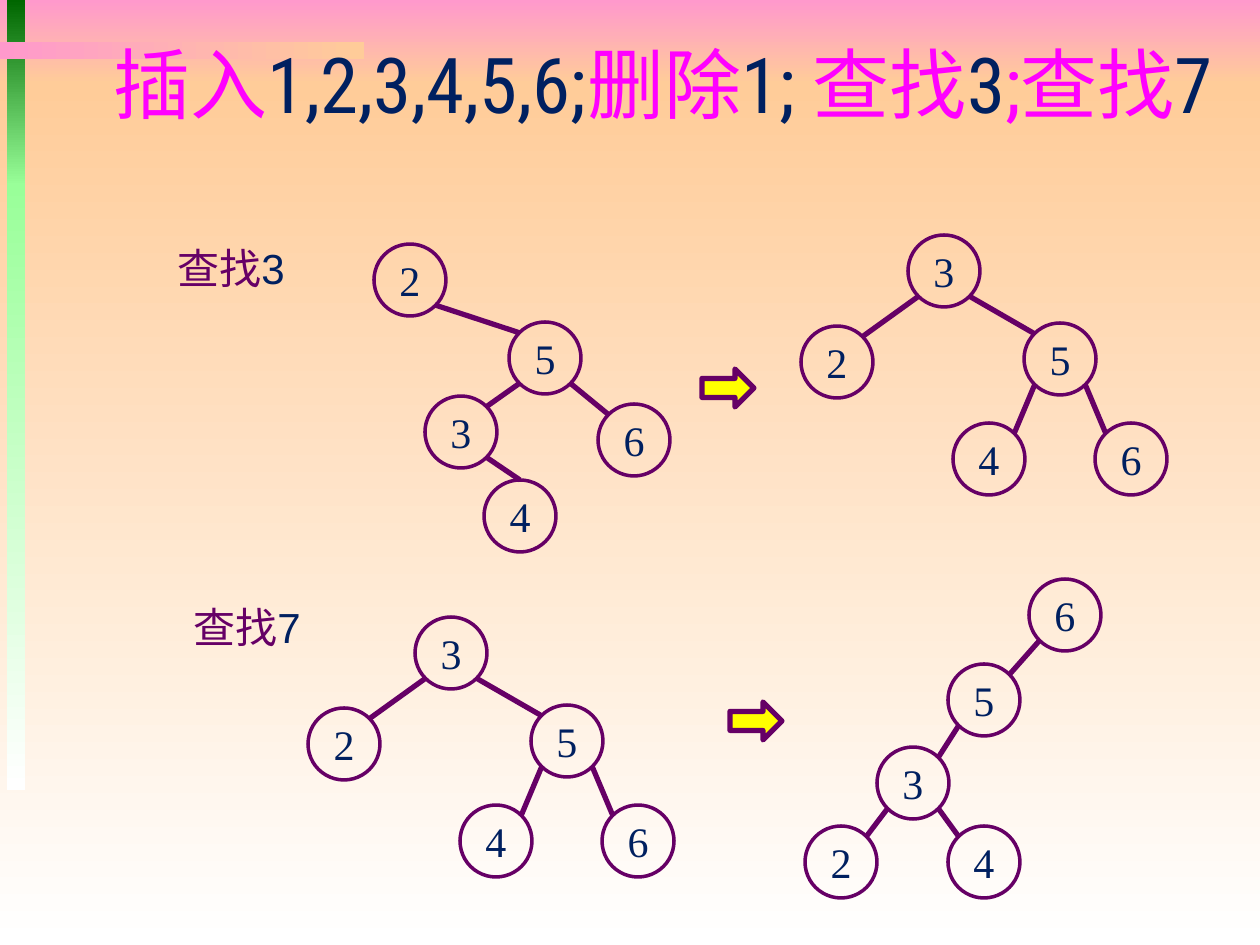
"""Builds a slide that shows splay tree lookups before and after splaying."""
from lxml import etree
from pptx import Presentation
from pptx.dml.color import RGBColor
from pptx.enum.shapes import MSO_CONNECTOR, MSO_SHAPE
from pptx.enum.text import MSO_ANCHOR, MSO_AUTO_SIZE, PP_ALIGN
from pptx.oxml.ns import qn
from pptx.util import Pt

RECTANGLE, OVAL, ARROW = MSO_SHAPE.RECTANGLE, MSO_SHAPE.OVAL, MSO_SHAPE.RIGHT_ARROW
STRAIGHT = MSO_CONNECTOR.STRAIGHT
LEFT, CENTER, MIDDLE = PP_ALIGN.LEFT, PP_ALIGN.CENTER, MSO_ANCHOR.MIDDLE
COLORS = {
    "plum": "660066", "navy": "002060", "magenta": "FF00FF", "yellow": "FFFF00",
    "pink": "FF99CC", "peach": "FFCC99", "white": "FFFFFF",
    "green": "006600", "mint": "99FF99",
}
RGB = {name: RGBColor.from_string(value) for name, value in COLORS.items()}
SCALE = 914400 / 126
RADIUS, CORNER = 36, 25


def px(*lengths):
    return [round(length * SCALE) for length in lengths]


def add_spans(para, spans, font, size):
    for text, color in spans:
        span = para.add_run()
        span.text = text
        span.font.name = font
        span.font.size = Pt(size)
        span.font.color.rgb = RGB[color]


deck = Presentation()
deck.slide_width, deck.slide_height = px(1260, 945)
page = deck.slides.add_slide(deck.slide_layouts[5])

bands = [
    ((0, 0, 1260, 84), "pink", "peach", 270),
    ((0, 84, 1260, 861), "peach", "white", 270),
    ((7, 0, 18, 186), "green", "mint", 270),
    ((7, 184, 18, 606), "mint", "white", 270),
    ((0, 42, 364, 17), "pink", "peach", 0),
]
for place, first, last, angle in bands:
    band = page.shapes.add_shape(RECTANGLE, *px(*place))
    band.shadow.inherit = False
    band.line.fill.background()
    band.fill.gradient()
    band.fill.gradient_angle = angle
    for stop, color in zip(band.fill.gradient_stops, (first, last)):
        stop.color.rgb = RGB[color]

balanced = [("3", 0, 0, None), ("2", -107, 91, 0), ("5", 116, 88, 0),
            ("6", 187, 188, 2), ("4", 45, 188, 2)]
trees = [
    ((410, 280), [("2", 0, 0, None), ("5", 135, 78, 0), ("6", 224, 160, 1),
                  ("3", 51, 152, 1), ("4", 110, 236, 3)]),
    ((944, 271), balanced),
    ((451, 653), balanced),
    ((1065, 615), [("6", 0, 0, None), ("5", -81, 85, 0), ("3", -152, 168, 1),
                   ("2", -224, 247, 2), ("4", -81, 247, 2)]),
]
for (root_x, root_y), nodes in trees:
    tree = page.shapes.add_group_shape()
    for label, x, y, parent in nodes:
        left, top = root_x + x - RADIUS, root_y + y - RADIUS
        node = tree.shapes.add_shape(OVAL, *px(left, top, 2 * RADIUS, 2 * RADIUS))
        node.shadow.inherit = False
        node.fill.background()
        node.line.color.rgb = RGB["plum"]
        node.line.width = Pt(2)
        node.text_frame.word_wrap = False
        node.text_frame.vertical_anchor = MIDDLE
        para = node.text_frame.paragraphs[0]
        para.alignment = CENTER
        add_spans(para, [(label, "navy")], "Times New Roman", 24)
    for label, x, y, parent in nodes:
        if parent is None:
            continue
        parent_x, parent_y = nodes[parent][1:3]
        side = 1 if x > parent_x else -1
        across, up = (CORNER, CORNER) if abs(x - parent_x) > 60 else (0, RADIUS)
        edge = tree.shapes.add_connector(STRAIGHT, *px(
            root_x + parent_x + side * CORNER, root_y + parent_y + CORNER,
            root_x + x - side * across, root_y + y - up))
        edge.line.color.rgb = RGB["plum"]
        edge.line.width = Pt(3)
        etree.SubElement(edge._element.spPr, qn("a:effectLst"))

for place, number in [((165, 236, 170, 63), "3"), ((181, 595, 204, 63), "7")]:
    box = page.shapes.add_textbox(*px(*place))
    box.text_frame.word_wrap = True
    add_spans(box.text_frame.paragraphs[0],
              [("查找", "plum"), (number, "navy")], "Arial", 24)

for left, top in [(702, 369), (730, 702)]:
    arrow = page.shapes.add_shape(ARROW, *px(left, top, 52, 38))
    arrow.shadow.inherit = False
    arrow.fill.solid()
    arrow.fill.fore_color.rgb = RGB["yellow"]
    arrow.line.color.rgb = RGB["plum"]
    arrow.line.width = Pt(3)

title = page.shapes.title
title.left, title.top, title.width, title.height = px(101, 72, 1136, 113)
frame = title.text_frame
frame.word_wrap = True
frame.auto_size = MSO_AUTO_SIZE.NONE
frame.vertical_anchor = MIDDLE
frame.margin_bottom = px(98)[0]
frame.paragraphs[0].alignment = LEFT
add_spans(frame.paragraphs[0], [
    ("插入", "magenta"), ("1,2,3,4,5,6;", "navy"), ("删除", "magenta"), ("1;", "navy"),
    (" 查找", "magenta"), ("3", "navy"), (";查找", "magenta"), ("7", "navy"),
], "Roboto Condensed", 44)
page.shapes._spTree.append(title._element)

deck.save("out.pptx")
